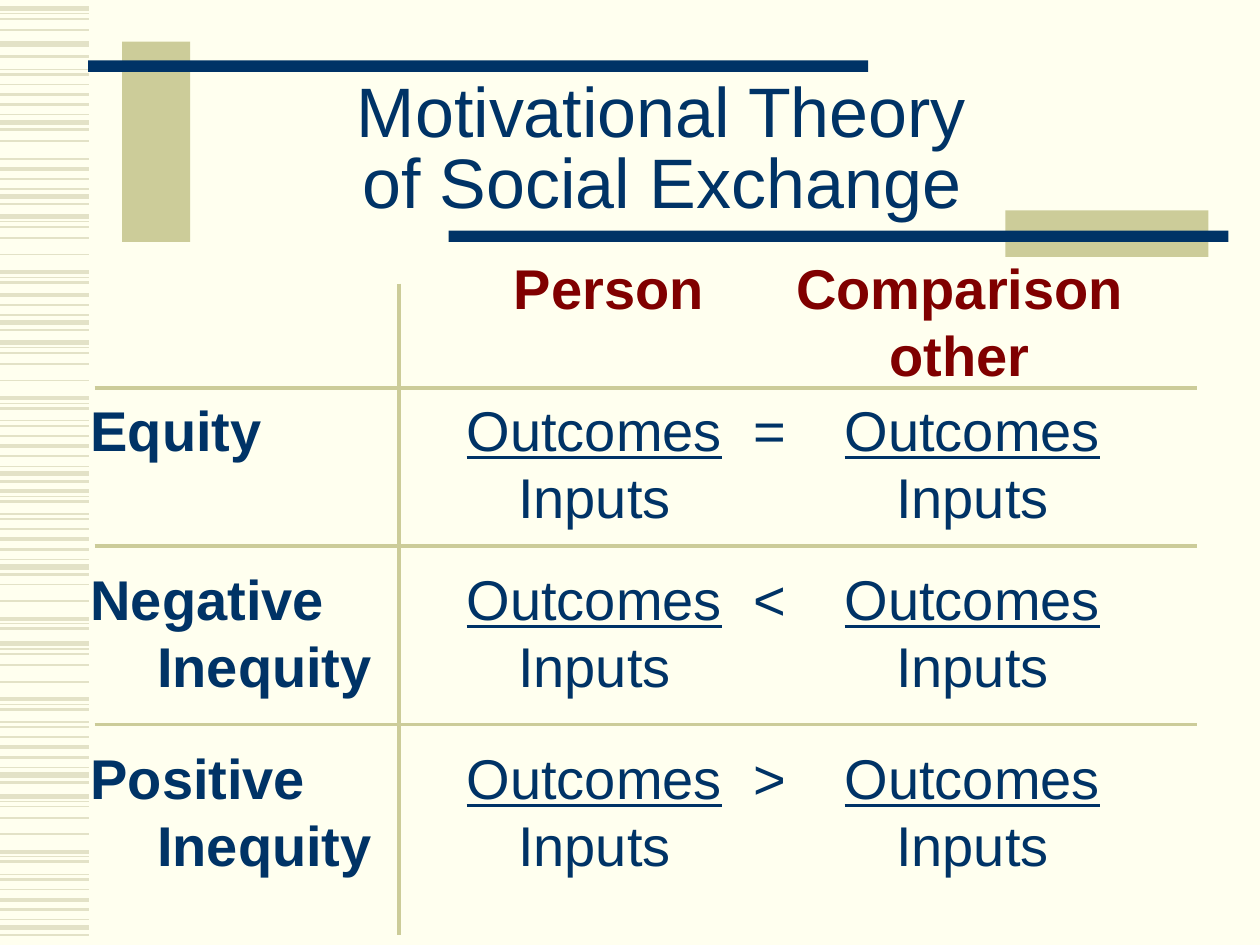
import pptx
import pptx.util
import pptx.dml.color
import pptx.enum.shapes
import pptx.enum.text
import pptx.oxml.ns
from lxml import etree

CREAM = pptx.dml.color.RGBColor(0xFF, 0xFF, 0xEF)
STRIPE = pptx.dml.color.RGBColor(0xE3, 0xE2, 0xC7)
KHAKI = pptx.dml.color.RGBColor(0xCC, 0xCC, 0x99)
NAVY = pptx.dml.color.RGBColor(0x00, 0x33, 0x66)
MAROON = pptx.dml.color.RGBColor(0x80, 0x00, 0x00)

SLIDE_WIDTH = pptx.util.Inches(10)
SLIDE_HEIGHT = pptx.util.Inches(7.5)
COLUMN = SLIDE_WIDTH / 100
ROW = SLIDE_HEIGHT / 75

STRIPE_MOTIF = [
    (0, 3), (0.4, 0.75), (0.8, 1), (1.7, 1), (3, 1), (4.4, 2.25),
    (4.8, 0.75), (5.2, 1.5), (6.2, 0.75), (6.6, 1.5), (7.4, 1),
    (8.2, 2.25), (9, 1.5), (9.8, 0.75), (10.4, 3), (11, 1.5),
]
STRIPE_BANDS = [
    (63.2, 0, 16), (51.1, 0, 16), (44.7, 3, 8), (34.6, 5, 16),
    (27.2, 0, 16), (17.2, 0, 8), (15.2, 11, 16), (8.2, 4, 5),
    (5.2, 10, 16), (3.5, 0, 1), (-0.7, 7, 16), (0.7, 0, 4),
]
COMPARISONS = [
    (8.4, "Equity", "", "="),
    (21.8, "Negative", "Inequity", "<"),
    (36, "Positive", "Inequity", ">"),
]


def across(columns):
    return round(columns * COLUMN)


def down(rows):
    return round(rows * ROW)


def add_rule(slide, start, end, color, weight):
    rule = slide.shapes.add_connector(
        pptx.enum.shapes.MSO_CONNECTOR.STRAIGHT,
        across(start[0]), down(start[1]), across(end[0]), down(end[1]))
    rule.line.color.rgb = color
    rule.line.width = pptx.util.Pt(weight)
    etree.SubElement(rule._element.spPr, pptx.oxml.ns.qn("a:effectLst"))


def add_bar(slide, box, color):
    left, top, width, height = box
    bar = slide.shapes.add_shape(
        pptx.enum.shapes.MSO_SHAPE.RECTANGLE,
        across(left), down(top), across(width), down(height))
    bar.shadow.inherit = False
    bar.fill.solid()
    bar.fill.fore_color.rgb = color
    bar.line.fill.background()


def add_text(slide, box, lines, size=32, color=NAVY, align="LEFT",
             anchor="TOP", spacing=1.0, tabs=()):
    left, top, width, height = box
    frame = slide.shapes.add_textbox(
        across(left), down(top), across(width), down(height)).text_frame
    frame.word_wrap = True
    frame.vertical_anchor = pptx.enum.text.MSO_ANCHOR[anchor]
    paragraph = frame.paragraphs[0]
    paragraph.alignment = pptx.enum.text.PP_ALIGN[align]
    paragraph.line_spacing = spacing
    if tabs:
        tab_list = etree.SubElement(
            paragraph._p.get_or_add_pPr(), pptx.oxml.ns.qn("a:tabLst"))
        for position, kind in tabs:
            etree.SubElement(tab_list, pptx.oxml.ns.qn("a:tab"),
                             pos=str(across(position)), algn=kind)
    for index, line in enumerate(lines):
        if index:
            paragraph.add_line_break()
        for words, style in line:
            run = paragraph.add_run()
            run.text = words
            run.font.name = "Arial"
            run.font.size = pptx.util.Pt(size)
            run.font.color.rgb = color
            run.font.bold = style == "bold"
            run.font.underline = style == "underline"


def draw_stripes(slide, box):
    left, top, width, _ = box
    for start, first, last in STRIPE_BANDS:
        for offset, weight in STRIPE_MOTIF[first:last]:
            level = top + start + offset
            add_rule(slide, (left, level), (left + width, level), STRIPE, weight)


def draw_title(slide, box):
    left, top, width, height = box
    add_bar(slide, (left + 2.8, top, 5.4, 15.9), KHAKI)
    add_bar(slide, (left + 0.1, top + 1.5, 61.9, 0.9), NAVY)
    add_bar(slide, (left + width - 17.7, top + height - 3.7, 16.1, 3.7), KHAKI)
    add_bar(slide, (left + width - 61.9, top + height - 2.1, 61.9, 0.9), NAVY)
    add_text(slide, (left + 3.1, top + 2.5, 85, 12.5),
             [[("Motivational Theory", "plain")], [("of Social Exchange", "plain")]],
             size=40, align="CENTER", anchor="MIDDLE", spacing=0.85)


def draw_comparison(slide, box, label, label_end, sign):
    tabs = [(5.3, "l"), (40, "ctr"), (53.9, "ctr"), (70, "ctr")]
    ratio = [(label, "bold"), ("\t", "plain"), ("Outcomes", "underline"),
             (f"\t{sign}\t", "plain"), ("Outcomes", "underline")]
    divisor = [(f"\t{label_end}", "bold"), ("\tInputs\t\tInputs", "plain")]
    add_text(slide, box, [ratio, divisor], tabs=tabs)


def draw_exchange_grid(slide, box):
    left, top, width, height = box
    for offset, label, label_end, sign in COMPARISONS:
        draw_comparison(slide, (left - 1.3, top + offset, 82.3, 11.6),
                        label, label_end, sign)
    add_text(slide, (left + 32.3, top - 2.9, 53.6, 11.6),
             [[("Person\tComparison", "bold")], [("\tother", "bold")]],
             color=MAROON, tabs=[(35.4, "ctr")])
    divider = left + 24.2
    add_rule(slide, (divider, top), (divider, top + height), KHAKI, 2.25)
    for offset in (8.3, 20.8, 35):
        level = top + offset
        add_rule(slide, (left, level), (left + width, level), KHAKI, 2.25)


def main():
    deck = pptx.Presentation()
    deck.slide_width = SLIDE_WIDTH
    deck.slide_height = SLIDE_HEIGHT
    slide = deck.slides.add_slide(deck.slide_layouts[6])
    slide.background.fill.solid()
    slide.background.fill.fore_color.rgb = CREAM
    draw_stripes(slide, (0, 0, 7.1, 75))
    draw_title(slide, (6.9, 3.3, 90.6, 17.1))
    draw_exchange_grid(slide, (7.5, 22.5, 87.5, 51.7))
    deck.save("out.pptx")


if __name__ == "__main__":
    main()
